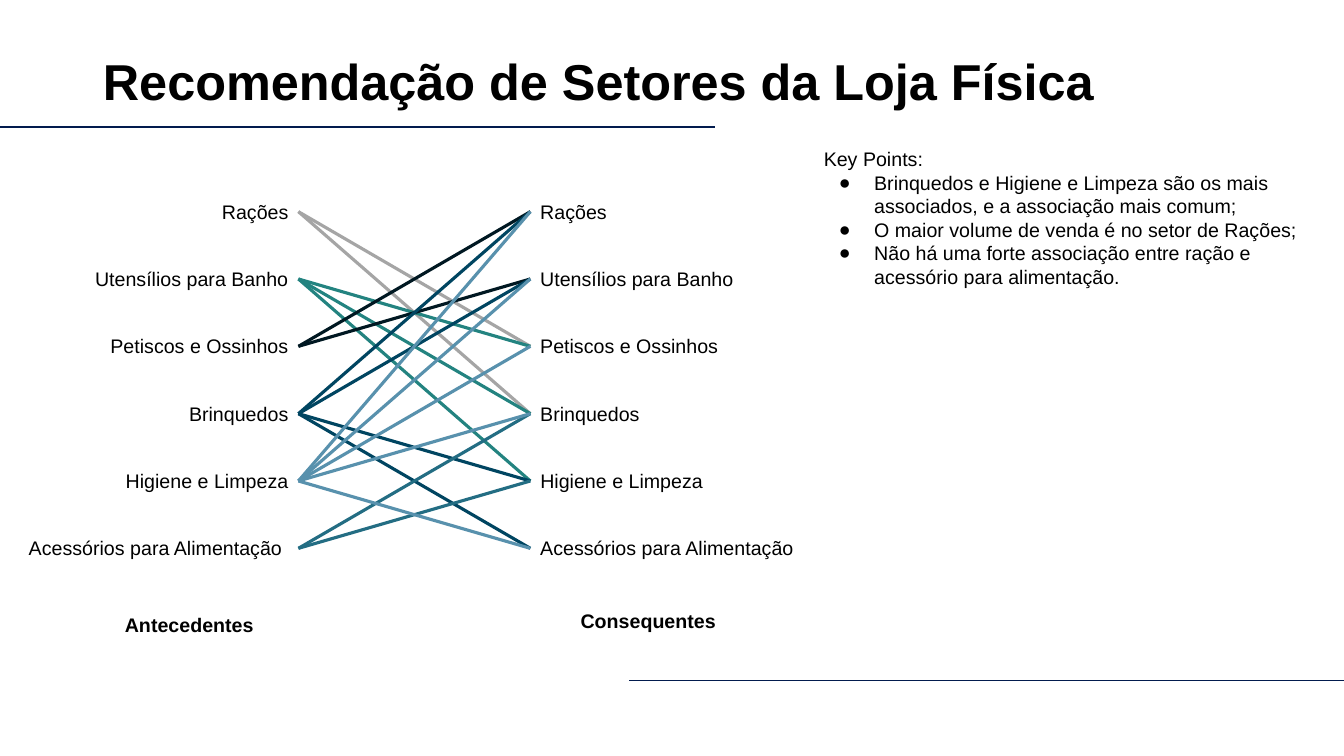
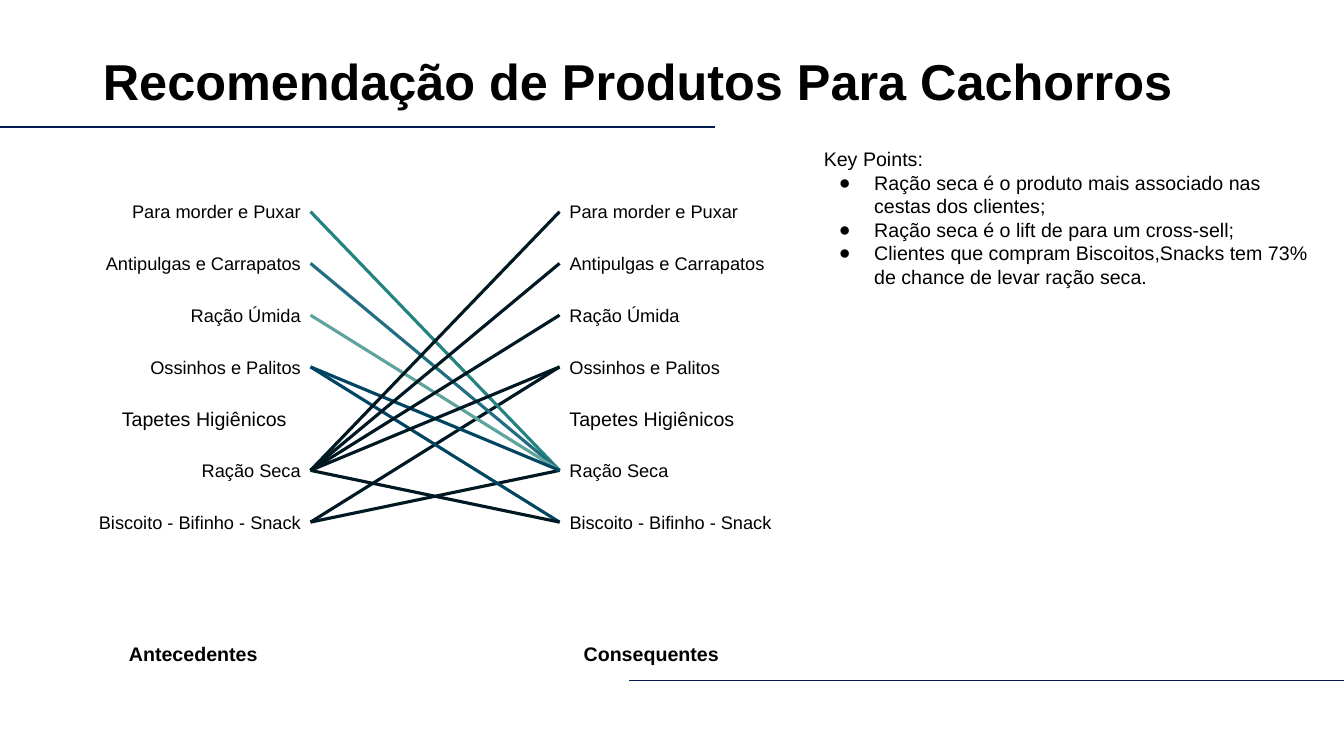
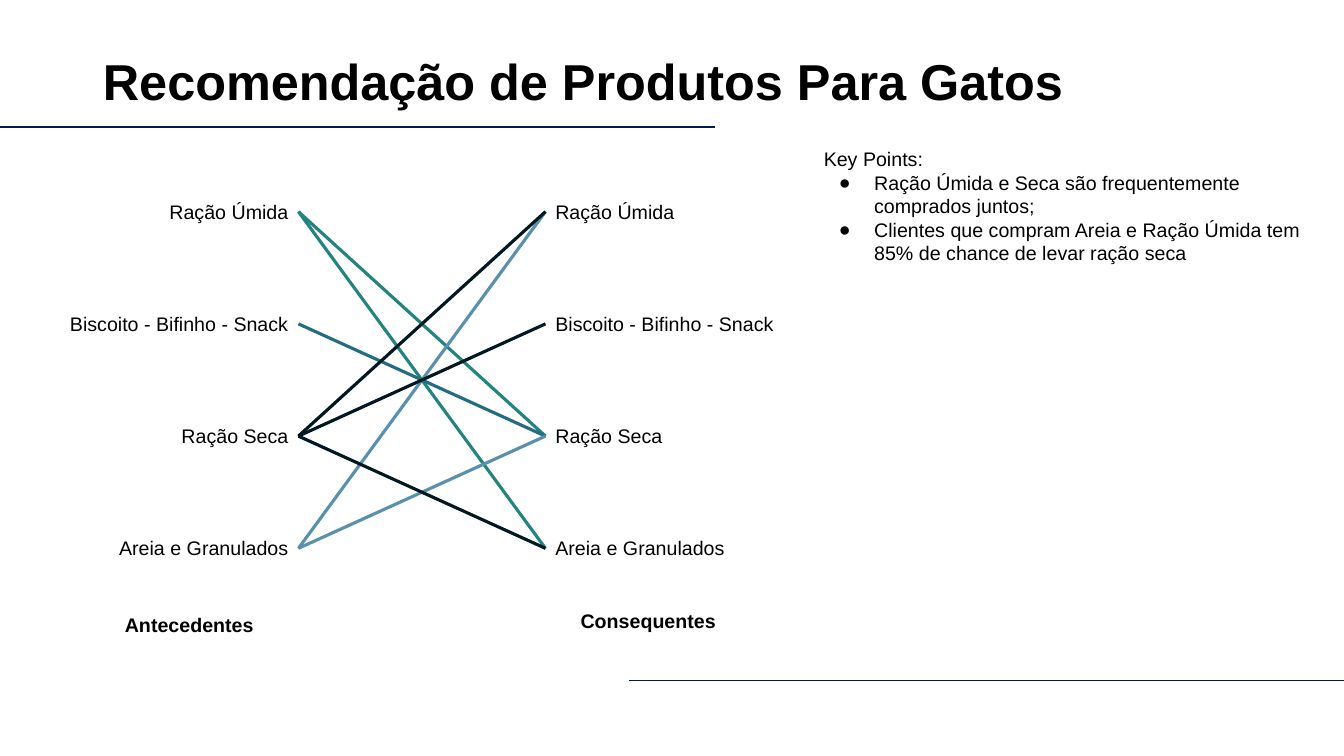
from lxml.etree import SubElement
from pptx import Presentation
from pptx.dml.color import RGBColor
from pptx.enum.shapes import MSO_CONNECTOR
from pptx.enum.text import MSO_ANCHOR, MSO_AUTO_SIZE, PP_ALIGN
from pptx.oxml.ns import qn
from pptx.util import Inches, Pt

FONT = "Arial"
BLACK, NAVY = "000000", "021B4E"
GRAY, TEAL, MINT = "A5A5A5", "238380", "5EA39C"
INK, DEEP_BLUE, SKY, PETROL = "001822", "004561", "5891AD", "236D83"
TOP_ROW, TEXT_INSET = 2.1, 0.1
RULES = [(-0.01, 1.26, 7.09, 1.26), (6.24, 6.75, 13.33, 6.75)]

# labels: text, box width, format of both sides, format of the left side only
# links: row of the antecedent, colour, rows of the consequents
SLIDES = [
    {
        "title": "Recomendação de Setores da Loja Física",
        "points": [
            "Brinquedos e Higiene e Limpeza são os mais associados, e a associação mais comum;",
            "O maior volume de venda é no setor de Rações;",
            "Não há uma forte associação entre ração e acessório para alimentação.",
        ],
        "columns": (2.96, 5.26), "last_row": 5.44, "size": 14,
        "labels": [
            ("Rações", 2.04, {}, {}),
            ("Utensílios para Banho", 2.23, {}, {}),
            ("Petiscos e Ossinhos", 2.04, {}, {}),
            ("Brinquedos", 2.04, {}, {}),
            ("Higiene e Limpeza", 2.51, {}, {}),
            ("Acessórios para Alimentação", 2.8, {}, {"right_inset": 0.16}),
        ],
        "links": [
            (0, GRAY, [2, 3]), (1, TEAL, [2, 3, 4]), (2, INK, [0, 1]),
            (3, DEEP_BLUE, [0, 1, 4, 5]), (5, PETROL, [3, 4]),
            (4, SKY, [1, 3, 5, 0, 2]),
        ],
        "captions": [(1.14, 5.98), (5.66, 5.94)],
    },
    {
        "title": "Recomendação de Produtos Para Cachorros",
        "points": [
            "Ração seca é o produto mais associado nas cestas dos clientes;",
            "Ração seca é o lift de para um cross-sell;",
            "Clientes que compram Biscoitos,Snacks tem 73% de chance de levar ração seca.",
        ],
        "columns": (3.08, 5.55), "last_row": 5.18, "size": 13,
        "labels": [
            ("Para morder e Puxar", 2.04, {}, {}),
            ("Antipulgas e Carrapatos", 2.51, {}, {}),
            ("Ração Úmida", 2.04, {}, {}),
            ("Ossinhos e Palitos", 2.04, {}, {}),
            ("Tapetes Higiênicos", 1.97, {"size": 14}, {"align": PP_ALIGN.LEFT}),
            ("Ração Seca", 2.04, {}, {}),
            ("Biscoito - Bifinho - Snack", 2.51, {}, {}),
        ],
        "links": [
            (6, INK, [5, 3]), (0, TEAL, [5]), (1, PETROL, [5]), (2, MINT, [5]),
            (3, DEEP_BLUE, [6, 5]), (5, INK, [0, 1, 2, 3, 6]),
        ],
        "captions": [(1.18, 6.27), (5.69, 6.27)],
    },
    {
        "title": "Recomendação de Produtos Para Gatos",
        "points": [
            "Ração Úmida e Seca são frequentemente comprados juntos;",
            "Clientes que compram Areia e Ração Úmida tem 85% de chance de levar ração seca",
        ],
        "columns": (2.96, 5.41), "last_row": 5.44, "size": 14,
        "labels": [
            ("Ração Úmida", 2.04, {}, {}),
            ("Biscoito - Bifinho - Snack", 2.77, {}, {}),
            ("Ração Seca", 2.51, {}, {}),
            ("Areia e Granulados", 2.04, {}, {}),
        ],
        "links": [
            (0, TEAL, [2, 3]), (1, PETROL, [2]), (3, SKY, [2, 0]),
            (2, INK, [3, 1, 0]),
        ],
        "captions": [(1.14, 5.98), (5.66, 5.94)],
    },
]


def color(value):
    return RGBColor.from_string(value)


def place(shape, left, top, width, height):
    shape.left, shape.top = Inches(left), Inches(top)
    shape.width, shape.height = Inches(width), Inches(height)


def write(para, text, size=14, bold=False, align=PP_ALIGN.LEFT, spacing=1.0):
    para.alignment, para.line_spacing = align, spacing
    para.space_before = para.space_after = Pt(0)
    span = para.add_run()
    span.text = text
    span.font.name, span.font.size, span.font.bold = FONT, Pt(size), bold
    span.font.color.rgb = color(BLACK)


def set_insets(frame, inset=TEXT_INSET, right_inset=None):
    frame.margin_left = frame.margin_top = frame.margin_bottom = Inches(inset)
    frame.margin_right = Inches(inset if right_inset is None else right_inset)
    frame.word_wrap = True
    frame.auto_size = MSO_AUTO_SIZE.NONE


def add_label(page, text, left, top, width, height, right_inset=None, **style):
    box = page.shapes.add_textbox(Inches(left), Inches(top), Inches(width), Inches(height))
    set_insets(box.text_frame, right_inset=right_inset)
    write(box.text_frame.paragraphs[0], text, **style)
    return box


def add_line(page, ends, line_color, width):
    line = page.shapes.add_connector(MSO_CONNECTOR.STRAIGHT, *map(Inches, ends))
    line.line.color.rgb = color(line_color)
    line.line.width = Pt(width)
    SubElement(line.element.spPr, qn("a:effectLst"))
    return line


def set_bullet(para, bulleted):
    props = para._p.get_or_add_pPr()
    props.set("marL", str(Inches(0.5 if bulleted else 0)))
    props.set("indent", str(Inches(-0.35 if bulleted else 0)))
    if bulleted:
        fill = SubElement(props, qn("a:buClr"))
        SubElement(fill, qn("a:srgbClr"), val=BLACK)
        SubElement(props, qn("a:buFont"), typeface=FONT)
        SubElement(props, qn("a:buChar"), char="●")
    else:
        SubElement(props, qn("a:buNone"))


def set_up_layout(layout):
    title, body = layout.placeholders[0], layout.placeholders[1]
    place(title, 0.92, 0.4, 11.5, 0.87)
    place(body, 8.07, 1.36, 5.06, 1.85)


def move_rules_to_layout(page):
    """Draw the two rules on a page and hand them to its layout."""
    for ends in RULES:
        rule = add_line(page, ends, NAVY, 0.75)
        page.slide_layout.shapes.element.append(rule.element)


def add_title(page, text):
    frame = page.shapes.title.text_frame
    frame.vertical_anchor = MSO_ANCHOR.MIDDLE
    frame.auto_size = MSO_AUTO_SIZE.NONE
    write(frame.paragraphs[0], text, size=36, bold=True, spacing=0.9)


def add_key_points(page, points):
    frame = page.placeholders[1].text_frame
    set_insets(frame)
    for index, text in enumerate(["Key Points:"] + points):
        para = frame.add_paragraph() if index else frame.paragraphs[0]
        write(para, text)
        set_bullet(para, bulleted=index > 0)


def add_association_map(page, content):
    left_edge, right_edge = content["columns"]
    labels = content["labels"]
    step = (content["last_row"] - TOP_ROW) / (len(labels) - 1)
    antecedents, consequents = [], []
    for row, (text, width, both, left_only) in enumerate(labels):
        style = {"size": content["size"], **both}
        height = 0.44 if style["size"] == 14 else 0.42
        top = TOP_ROW + row * step - height / 2
        left_style = {**style, "align": PP_ALIGN.RIGHT, **left_only}
        antecedents.append(
            add_label(page, text, left_edge - width, top, width, height, **left_style))
        consequents.append(add_label(page, text, right_edge, top, width, height, **style))
    for source, line_color, targets in content["links"]:
        for target in targets:
            link = add_line(page, (0, 0, 1, 1), line_color, 2.25)
            link.begin_connect(antecedents[source], 3)
            link.end_connect(consequents[target], 1)
    for text, (left, top) in zip(["Antecedentes", "Consequentes"], content["captions"]):
        add_label(page, text, left, top, 1.64, 0.44, bold=True)


def main():
    deck = Presentation()
    deck.slide_width, deck.slide_height = Inches(13.33), Inches(7.5)
    layout = deck.slide_layouts[1]
    set_up_layout(layout)
    for content in SLIDES:
        page = deck.slides.add_slide(layout)
        add_title(page, content["title"])
        add_key_points(page, content["points"])
        add_association_map(page, content)
    move_rules_to_layout(deck.slides[0])
    deck.save("out.pptx")


if __name__ == "__main__":
    main()
